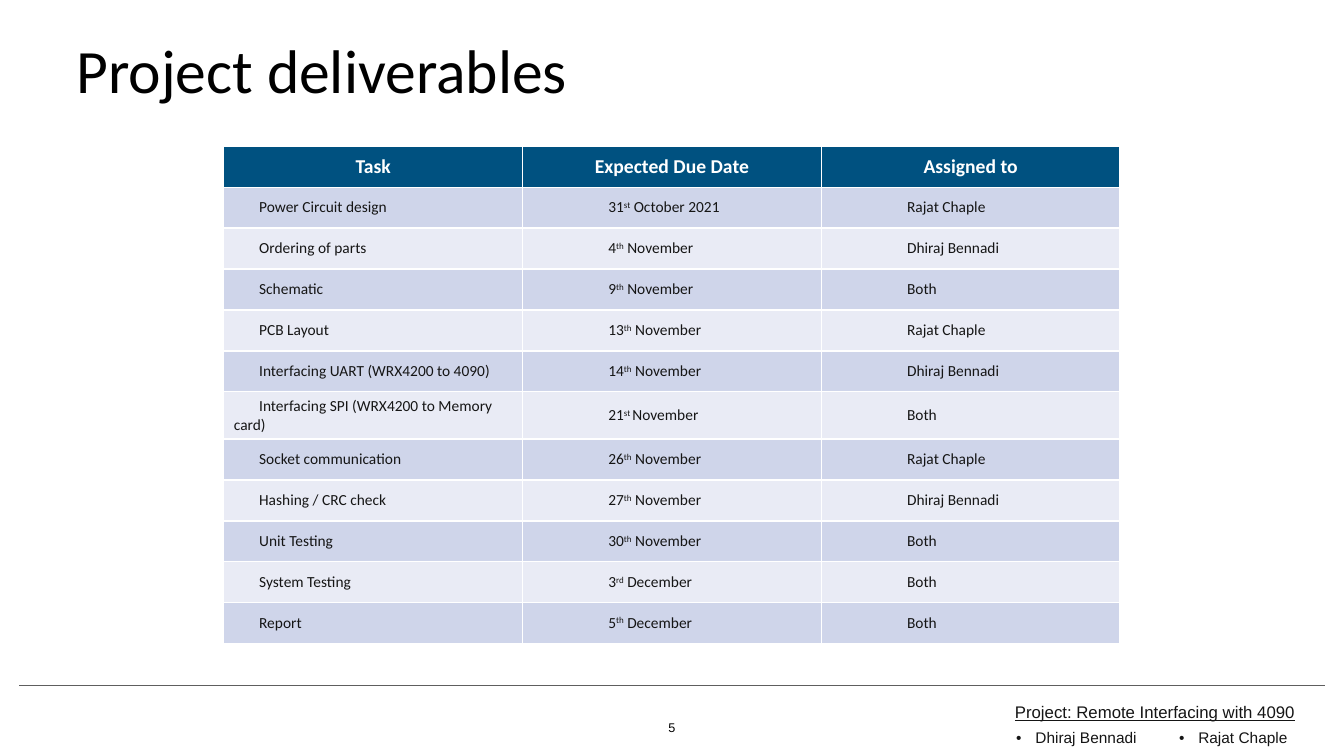
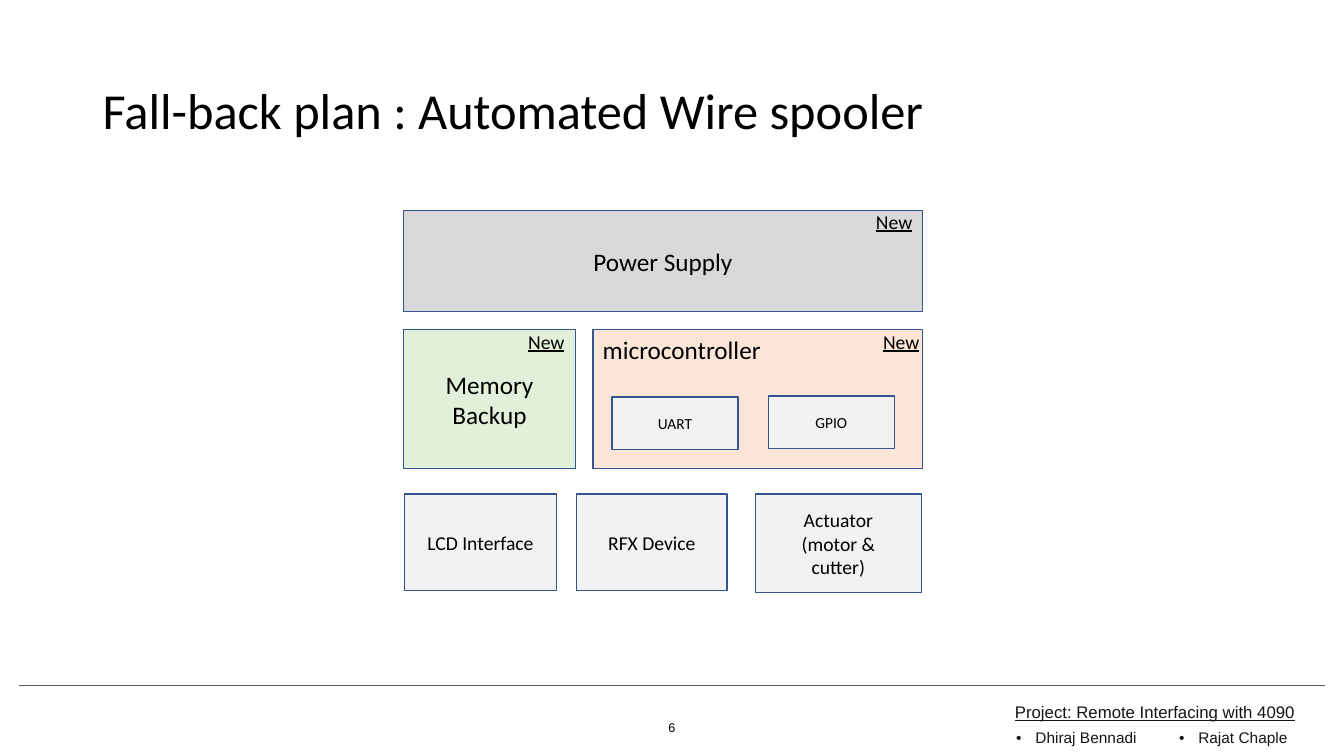
"""Build the project deliverables and fall-back plan slides."""
from pptx import Presentation
from pptx.dml.color import RGBColor
from pptx.enum.shapes import MSO_CONNECTOR, MSO_SHAPE
from pptx.enum.text import MSO_ANCHOR, MSO_AUTO_SIZE, PP_ALIGN
from pptx.oxml.ns import qn
from pptx.util import Inches, Pt
from lxml import etree

BLACK = RGBColor(0x00, 0x00, 0x00)
WHITE = RGBColor(0xFF, 0xFF, 0xFF)
INK = RGBColor(0x15, 0x15, 0x15)
RULE = RGBColor(0x5E, 0x5E, 0x5E)
HEADER = RGBColor(0x00, 0x51, 0x80)
BANDS = (RGBColor(0xCF, 0xD5, 0xEA), RGBColor(0xE9, 0xEB, 0xF5))
OUTLINE = RGBColor(0x32, 0x54, 0x91)
GRAY = RGBColor(0xD9, 0xD9, 0xD9)
PALE = RGBColor(0xF2, 0xF2, 0xF2)
GREEN = RGBColor(0xE2, 0xF0, 0xD9)
PEACH = RGBColor(0xFB, 0xE5, 0xD6)
LEFT, CENTER = PP_ALIGN.LEFT, PP_ALIGN.CENTER
TOP, MIDDLE, BOTTOM = MSO_ANCHOR.TOP, MSO_ANCHOR.MIDDLE, MSO_ANCHOR.BOTTOM
GROW = MSO_AUTO_SIZE.SHAPE_TO_FIT_TEXT
RECTANGLE = MSO_SHAPE.RECTANGLE
STRAIGHT = MSO_CONNECTOR.STRAIGHT
SIDES = ("margin_left", "margin_top", "margin_right", "margin_bottom")
TIGHT = {"auto_size": GROW, **{side: Inches(0.06) for side in SIDES}}


def write(frame, text, size, color=BLACK, align=LEFT, name="Calibri", frame_format=None, **font_format):
    """Fill a text frame; parts between carets are superscript."""
    for key, value in {"word_wrap": True, **(frame_format or {})}.items():
        setattr(frame, key, value)
    for number, line in enumerate(text.split("\n")):
        paragraph = frame.add_paragraph() if number else frame.paragraphs[0]
        paragraph.alignment = align
        for index, part in enumerate(line.split("^")):
            run = paragraph.add_run()
            run.text = part
            run.font.color.rgb = color
            for key, value in {"size": Pt(size), "name": name, **font_format}.items():
                setattr(run.font, key, value)
            if index % 2:
                run.font._element.set("baseline", "30000")


def add_box(slide, place, fill, outline=None):
    """Add a flat rectangle and return its text frame."""
    shape = slide.shapes.add_shape(RECTANGLE, *map(Inches, place))
    shape.shadow.inherit = False
    shape.fill.solid()
    shape.fill.fore_color.rgb = fill
    if outline is None:
        shape.line.fill.background()
    else:
        shape.line.color.rgb = outline
        shape.line.width = Pt(1)
    return shape.text_frame


presentation = Presentation()
presentation.slide_width = Inches(13.33)
presentation.slide_height = Inches(7.5)

titles = [
    ("Project deliverables", 0.66, 0, 44, "5"),
    ("Fall-back plan : Automated Wire spooler", 0.92, 0.4, 36, "6"),
]
slides = []
for title, left, top, size, page in titles:
    slide = presentation.slides.add_slide(presentation.slide_layouts[6])
    slides.append(slide)

    rule = slide.shapes.add_connector(STRAIGHT, Inches(0.19), Inches(6.8), Inches(13.14), Inches(6.8))
    rule.line.color.rgb = RULE
    rule.line.width = Pt(0.5)
    etree.SubElement(rule._element.spPr, qn("a:effectLst"))

    project = add_box(slide, (9.86, 6.91, 3.19, 0.31), WHITE)
    write(project, "Project: Remote Interfacing with 4090", 12, INK, CENTER, "Arial",
          {**TIGHT, "vertical_anchor": MIDDLE}, underline=True)

    authors = add_box(slide, (9.86, 7.17, 3.19, 0.3), WHITE)
    write(authors, "Dhiraj Bennadi\nRajat Chaple", 11, INK, CENTER, "Arial",
          {**TIGHT, "vertical_anchor": MIDDLE})
    body = authors._txBody.bodyPr
    body.set("numCol", "2")
    body.set("spcCol", str(Inches(0.04)))
    for paragraph in authors.paragraphs:
        properties = paragraph._p.get_or_add_pPr()
        properties.set("marL", str(Inches(0.19)))
        properties.set("indent", str(Inches(-0.19)))
        etree.SubElement(properties, qn("a:buFont")).set("typeface", "Arial")
        etree.SubElement(properties, qn("a:buChar")).set("char", "•")

    heading = slide.shapes.add_textbox(Inches(left), Inches(top), Inches(11.5), Inches(1.45))
    write(heading.text_frame, title, size, frame_format={"vertical_anchor": MIDDLE})
    heading.text_frame.paragraphs[0].line_spacing = 0.9

    page_number = slide.shapes.add_textbox(Inches(6.53), Inches(7.09), Inches(0.27), Inches(0.26))
    write(page_number.text_frame, page, 9, BLACK, CENTER, "Arial",
          {**TIGHT, "vertical_anchor": BOTTOM, "word_wrap": False})

deliverables_slide, fallback_slide = slides

tasks = [
    ("Task", "Expected Due Date", "Assigned to"),
    ("Power Circuit design", "31^st^ October 2021", "Rajat Chaple"),
    ("Ordering of parts", "4^th^ November", "Dhiraj Bennadi"),
    ("Schematic", "9^th^ November", "Both"),
    ("PCB Layout", "13^th^ November", "Rajat Chaple"),
    ("Interfacing UART (WRX4200 to 4090)", "14^th^ November", "Dhiraj Bennadi"),
    ("Interfacing SPI (WRX4200 to Memory card)", "21^st ^November", "Both"),
    ("Socket communication", "26^th^ November", "Rajat Chaple"),
    ("Hashing / CRC check", "27^th^ November", "Dhiraj Bennadi"),
    ("Unit Testing", "30^th^ November", "Both"),
    ("System Testing", "3^rd^ December", "Both"),
    ("Report", "5^th^ December", "Both"),
]
table = deliverables_slide.shapes.add_table(
    len(tasks), 3, Inches(2.22), Inches(1.45), Inches(8.89), Inches(4.88)).table
for row, values in enumerate(tasks):
    for column, value in enumerate(values):
        cell = table.cell(row, column)
        cell.vertical_anchor = MIDDLE
        cell.fill.solid()
        if row == 0:
            cell.fill.fore_color.rgb = HEADER
            write(cell.text_frame, value, 14, WHITE, CENTER, bold=True)
        else:
            cell.fill.fore_color.rgb = BANDS[(row - 1) % 2]
            write(cell.text_frame, value, 11, INK)
            properties = cell.text_frame.paragraphs[0]._p.get_or_add_pPr()
            properties.set("marL", "0")
            properties.set("indent", str(Inches(0.75 if column else 0.25)))

blocks = [
    ("Memory Backup", (4, 3.27, 1.71, 1.38), GREEN, 18, CENTER, MIDDLE),
    ("Power Supply", (4, 2.09, 5.15, 1), GRAY, 18, CENTER, MIDDLE),
    ("microcontroller", (5.88, 3.27, 3.27, 1.38), PEACH, 18, LEFT, TOP),
    ("UART", (6.07, 3.94, 1.25, 0.52), PALE, 11, CENTER, MIDDLE),
    ("GPIO", (7.62, 3.93, 1.25, 0.52), PALE, 11, CENTER, MIDDLE),
    ("LCD Interface", (4.01, 4.9, 1.51, 0.96), PALE, 14, CENTER, MIDDLE),
    ("RFX Device", (5.72, 4.9, 1.49, 0.96), PALE, 14, CENTER, MIDDLE),
    ("Actuator\n(motor &\ncutter)", (7.49, 4.9, 1.65, 0.98), PALE, 14, CENTER, MIDDLE),
]
for text, place, fill, size, align, anchor in blocks:
    block = add_box(fallback_slide, place, fill, OUTLINE)
    write(block, text, size, align=align, frame_format={"vertical_anchor": anchor})

for left, top in ((5.14, 3.22), (8.59, 2.03), (8.66, 3.22)):
    label = fallback_slide.shapes.add_textbox(Inches(left), Inches(top), Inches(0.57), Inches(0.34))
    write(label.text_frame, "New", 14, frame_format={"word_wrap": False, "auto_size": GROW}, underline=True)

presentation.save("out.pptx")
